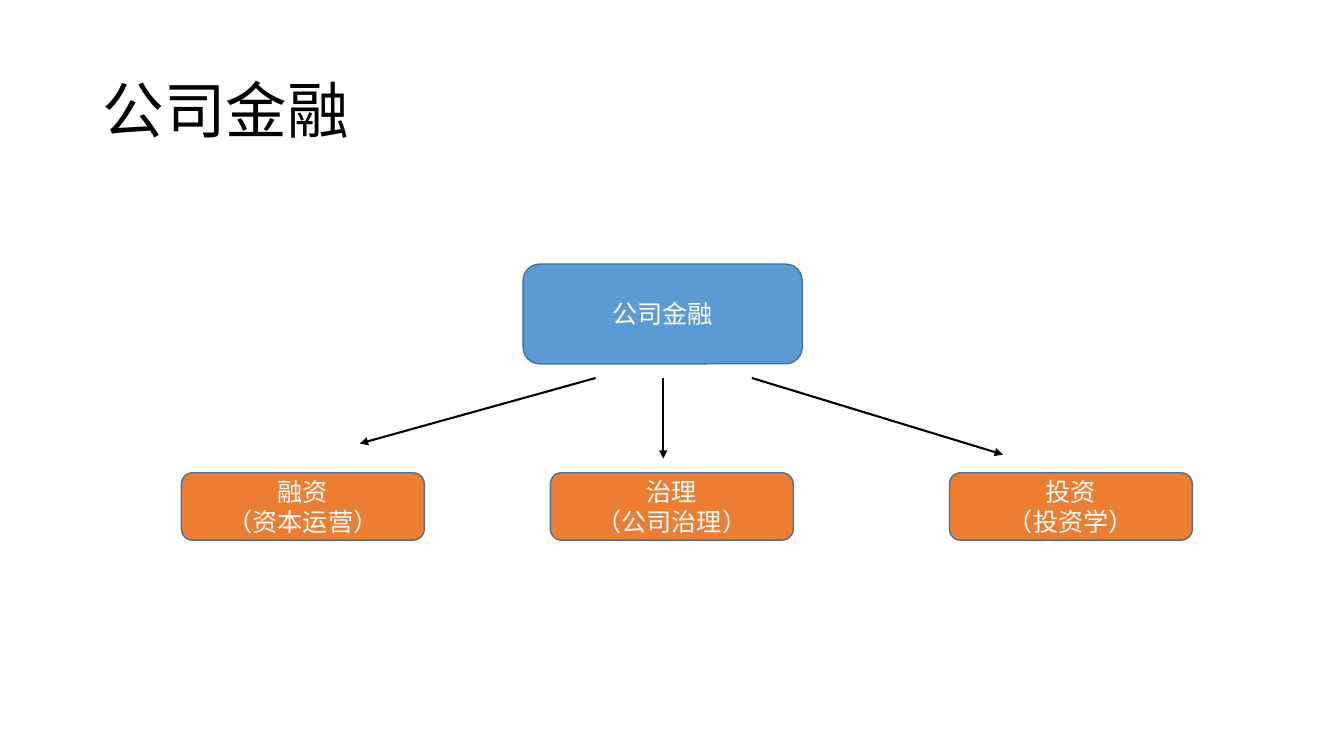
from lxml import etree
from pptx import Presentation
from pptx.dml.color import RGBColor
from pptx.enum.shapes import MSO_CONNECTOR, MSO_SHAPE
from pptx.enum.text import MSO_ANCHOR, MSO_AUTO_SIZE, PP_ALIGN
from pptx.oxml.ns import qn
from pptx.util import Pt

ROUNDED = MSO_SHAPE.ROUNDED_RECTANGLE
STRAIGHT = MSO_CONNECTOR.STRAIGHT
MIDDLE = MSO_ANCHOR.MIDDLE
NO_AUTOFIT = MSO_AUTO_SIZE.NONE
LEFT, CENTER = PP_ALIGN.LEFT, PP_ALIGN.CENTER

# Content
TITLE = "公司金融"
ROOT = ["公司金融"]
# Branch text, left edge of its box, arrow start x, arrow tip (x, y)
BRANCHES = [
    (["融资", "（资本运营）"], 129.6, 425.5, (257, 316.8)),
    (["治理", "（公司治理）"], 393.1, 473.8, (473.8, 327.6)),
    (["投资", "（投资学）"], 678.2, 537.1, (716.4, 324.7)),
]

# Layout in points
TITLE_BOX = (66, 28.8, 828, 104.4)
ROOT_BOX = (373.7, 188.6, 199.4, 71.3)
BRANCH_TOP, BRANCH_WIDTH, BRANCH_HEIGHT = 337.7, 173.5, 48.2
ARROW_TOP = 270

FONT = "Calibri"
BLUE, ORANGE, OUTLINE = "5B9BD5", "ED7D31", "43739E"
BLACK, WHITE = "000000", "FFFFFF"


def color(value):
    return RGBColor.from_string(value)


def write(shape, lines, size=18, fill=WHITE, align=CENTER, spacing=1.0):
    frame = shape.text_frame
    frame.word_wrap = True
    frame.auto_size = NO_AUTOFIT
    frame.vertical_anchor = MIDDLE
    for index, line in enumerate(lines):
        paragraph = frame.add_paragraph() if index else frame.paragraphs[0]
        paragraph.alignment = align
        paragraph.line_spacing = spacing
        run = paragraph.add_run()
        run.text = line
        run.font.name = FONT
        run.font.size = Pt(size)
        run.font.color.rgb = color(fill)


def add_box(slide, lines, bounds, fill):
    shape = slide.shapes.add_shape(ROUNDED, *map(Pt, bounds))
    shape.shadow.inherit = False
    shape.fill.solid()
    shape.fill.fore_color.rgb = color(fill)
    shape.line.color.rgb = color(OUTLINE)
    shape.line.width = Pt(1)
    write(shape, lines)


def add_arrow(slide, start, tip):
    connector = slide.shapes.add_connector(STRAIGHT, *map(Pt, start + tip))
    connector.line.color.rgb = color(BLACK)
    connector.line.width = Pt(1.5)
    etree.SubElement(connector.line._get_or_add_ln(), qn("a:tailEnd"), type="triangle")
    etree.SubElement(connector._element.spPr, qn("a:effectLst"))


def main():
    presentation = Presentation()
    presentation.slide_width, presentation.slide_height = Pt(960), Pt(540)
    slide = presentation.slides.add_slide(presentation.slide_layouts[5])

    # Title
    title = slide.shapes.title
    title.left, title.top, title.width, title.height = map(Pt, TITLE_BOX)
    write(title, [TITLE], size=44, fill=BLACK, align=LEFT, spacing=0.9)

    # Root and branch boxes
    add_box(slide, ROOT, ROOT_BOX, BLUE)
    for lines, left, _, _ in BRANCHES:
        add_box(slide, lines, (left, BRANCH_TOP, BRANCH_WIDTH, BRANCH_HEIGHT), ORANGE)

    # Arrows from the root towards each branch
    for _, _, start_x, tip in BRANCHES:
        add_arrow(slide, (start_x, ARROW_TOP), tip)

    presentation.save("out.pptx")


if __name__ == "__main__":
    main()
